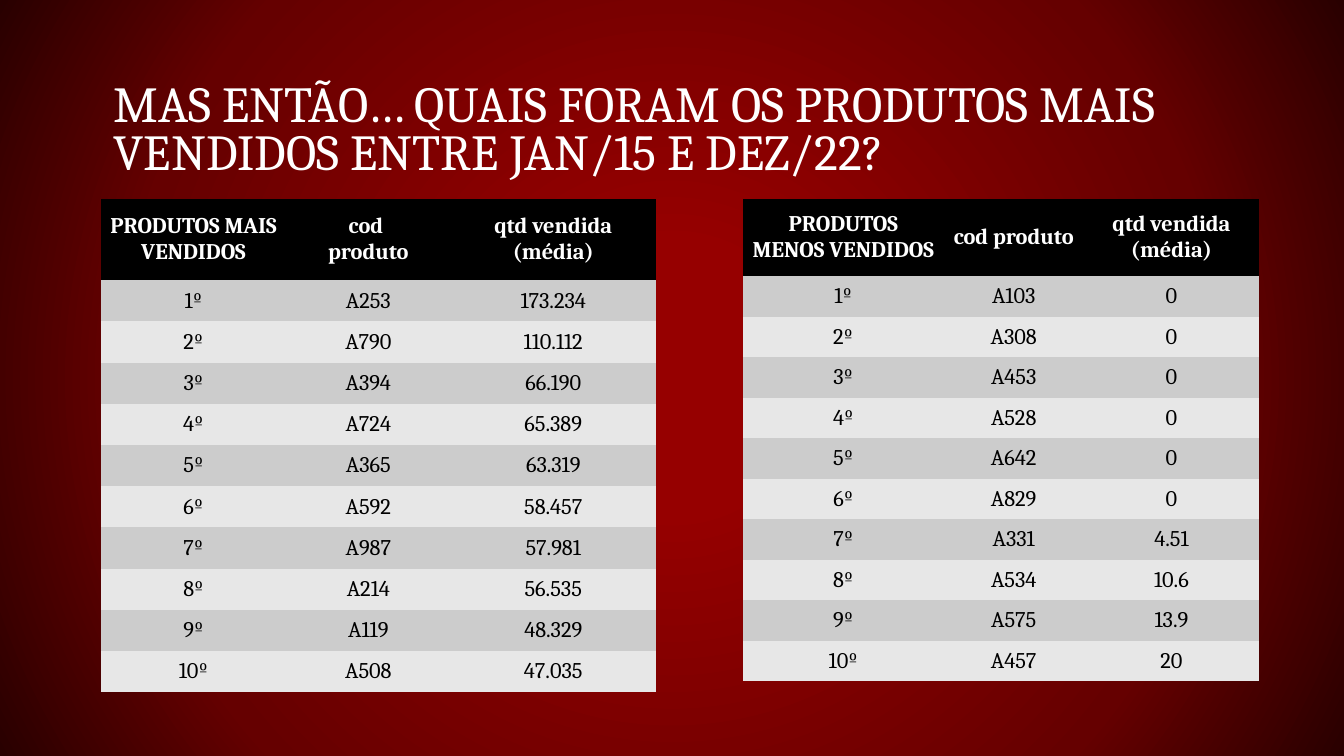
"""Build a slide that sets the best and the worst selling products side by side."""
import pptx
import pptx.dml.color
import pptx.enum.text
import pptx.oxml
import pptx.oxml.ns
import pptx.util
from lxml import etree

WIDE = pptx.util.Inches(13.33)
HIGH = pptx.util.Inches(7.5)
FONT = "Cambria"
PLAIN = "{2D5ABB26-0587-4C30-8999-92F81FD0307C}"
BANDS = ("CCCCCC", "E7E7E7")
STOPS = ((17, "960000"), (71, "650000"), (100, "290000"))
TOP = 26.27

BEST = (
    ("A253", "173.234"), ("A790", "110.112"), ("A394", "66.190"),
    ("A724", "65.389"), ("A365", "63.319"), ("A592", "58.457"),
    ("A987", "57.981"), ("A214", "56.535"), ("A119", "48.329"),
    ("A508", "47.035"),
)
WORST = (
    ("A103", "0"), ("A308", "0"), ("A453", "0"), ("A528", "0"),
    ("A642", "0"), ("A829", "0"), ("A331", "4.51"), ("A534", "10.6"),
    ("A575", "13.9"), ("A457", "20"),
)


def across(share):
    """Turn a percentage of the slide's width into a length."""
    return int(WIDE * share / 100)


def down(share):
    """Turn a percentage of the slide's height into a length."""
    return int(HIGH * share / 100)


def color(code):
    """Turn a hex string into a colour."""
    return pptx.dml.color.RGBColor.from_string(code)


def write(frame, text, size=16, ink="000000", bold=False, align="CENTER", lead=None):
    """Fill a text frame, one paragraph for each line of the text."""
    for rank, line in enumerate(text.split("\n")):
        para = frame.add_paragraph() if rank else frame.paragraphs[0]
        para.alignment = getattr(pptx.enum.text.PP_ALIGN, align)
        para.line_spacing = lead
        run = para.add_run()
        run.text = line
        run.font.name = FONT
        run.font.size = pptx.util.Pt(size)
        run.font.bold = bold
        run.font.color.rgb = color(ink)


def glow(slide):
    """Give the slide a round gradient that darkens outwards."""
    qn = pptx.oxml.ns.qn
    slide.background.fill.gradient()
    grad = slide.element.find(".//" + qn("a:gradFill"))
    for child in list(grad):
        grad.remove(child)
    stops = etree.SubElement(grad, qn("a:gsLst"))
    for place, code in STOPS:
        stop = etree.SubElement(stops, qn("a:gs"), pos=str(place * 1000))
        etree.SubElement(stop, qn("a:srgbClr"), val=code)
    route = etree.SubElement(grad, qn("a:path"), path="circle")
    etree.SubElement(route, qn("a:fillToRect"), dict.fromkeys("ltrb", "50000"))


def title(slide, text):
    """Set the heading above the tables."""
    box = slide.shapes.add_textbox(across(7.5), down(7.07), across(85.05), down(17.73))
    frame = box.text_frame
    frame.word_wrap = True
    frame.vertical_anchor = pptx.enum.text.MSO_ANCHOR.BOTTOM
    frame.margin_left = frame.margin_right = pptx.util.Inches(0.13)
    frame.margin_top = frame.margin_bottom = pptx.util.Inches(0.07)
    write(frame, text, size=36, ink="FFFFFF", align="LEFT", lead=0.8)


def ranking(slide, left, cols, head, step, labels, items):
    """Add a ranked table with a black header and banded rows."""
    rows = [labels] + [(f"{rank}º", *item) for rank, item in enumerate(items, 1)]
    shape = slide.shapes.add_table(
        len(rows), len(cols), across(left), down(TOP),
        across(sum(cols)), down(head + step * len(items)))
    shape.element.find(".//" + pptx.oxml.ns.qn("a:tableStyleId")).text = PLAIN
    table = shape.table
    for col, share in zip(table.columns, cols):
        col.width = across(share)
    for r, row in enumerate(rows):
        table.rows[r].height = down(step if r else head)
        for c, text in enumerate(row):
            cell = table.cell(r, c)
            cell.vertical_anchor = pptx.enum.text.MSO_ANCHOR.MIDDLE
            cell.margin_left = cell.margin_right = pptx.util.Inches(0.08)
            cell.margin_top = cell.margin_bottom = pptx.util.Inches(0.04)
            cell.fill.solid()
            cell.fill.fore_color.rgb = color(BANDS[(r - 1) % 2] if r else "000000")
            write(cell.text_frame, text, ink="000000" if r else "FFFFFF", bold=not r)


def main():
    """Build and save the slide."""
    deck = pptx.Presentation()
    deck.slide_width, deck.slide_height = WIDE, HIGH
    slide = deck.slides.add_slide(deck.slide_layouts[6])
    glow(slide)
    ranking(slide, 55.28, (14.93, 10.43, 13.05), 10.27, 5.36,
            ("PRODUTOS MENOS VENDIDOS", "cod produto", "qtd vendida (média)"), WORST)
    title(slide, "MAS ENTÃO… QUAIS FORAM OS PRODUTOS MAIS VENDIDOS ENTRE JAN/15 E DEZ/22?")
    ranking(slide, 7.5, (13.8, 12.22, 15.3), 10.8, 5.45,
            ("PRODUTOS MAIS VENDIDOS", "cod \nproduto", "qtd vendida (média)"), BEST)
    deck.save("out.pptx")


if __name__ == "__main__":
    main()
